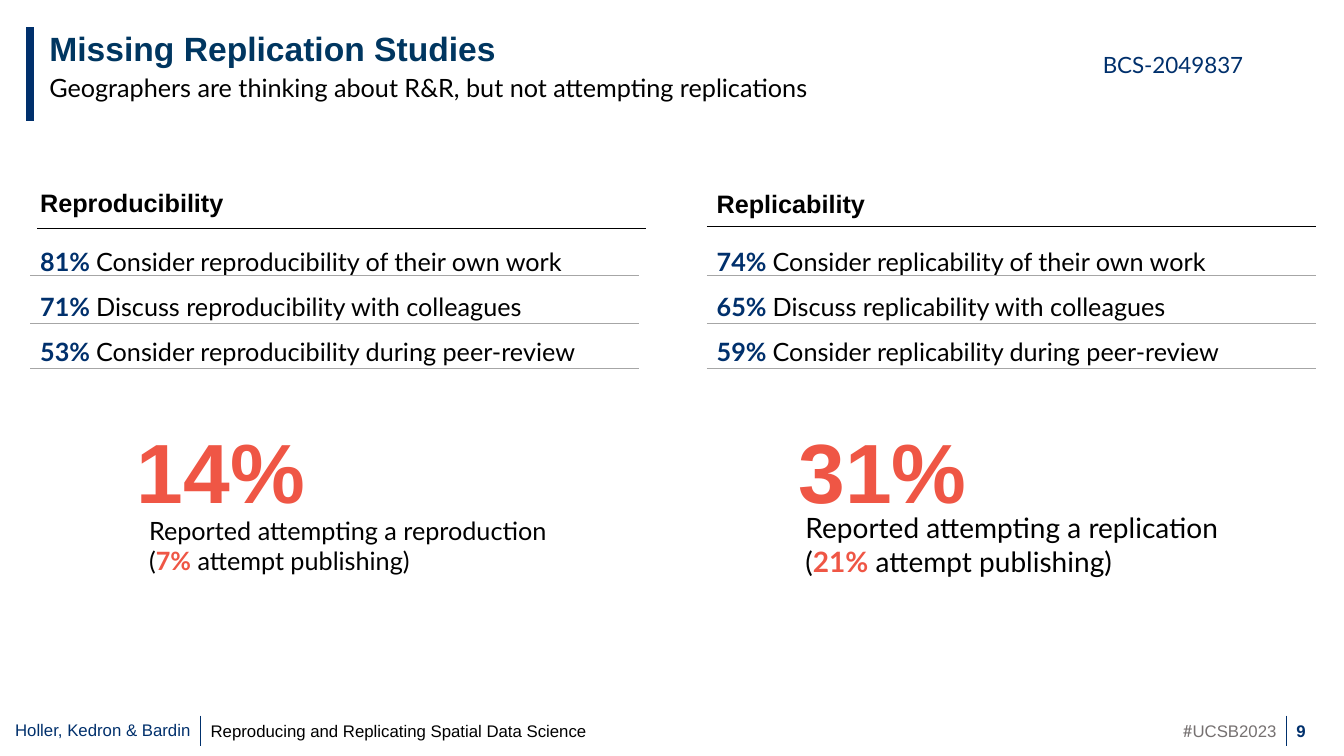
"""Build the slide on missing replication studies in geography."""
from lxml import etree
from pptx import Presentation, util as u
from pptx.dml.color import RGBColor
from pptx.enum import shapes, text
from pptx.oxml.ns import qn

PX = 9144
NAVY, TITLE, RED = "00306C", "003660", "EF5645"
BLACK, GREY, RULE = "000000", "767171", "A6A6A6"
LEFT, RIGHT = text.PP_ALIGN.LEFT, text.PP_ALIGN.RIGHT
TOP, MIDDLE = text.MSO_ANCHOR.TOP, text.MSO_ANCHOR.MIDDLE

deck = Presentation()
deck.slide_width, deck.slide_height = 1333 * PX, 750 * PX
slide = deck.slides.add_slide(deck.slide_layouts[5])


def write(place, lines, size, font="Lato", align=LEFT, anchor=TOP, spacing=1.0, box=None):
    """Fill a box with lines of (words, colour, bold, optional font) runs."""
    box = box or slide.shapes.add_textbox(0, 0, 0, 0)
    box.left, box.top, box.width, box.height = (n * PX for n in place)
    frame = box.text_frame
    frame_format = {"word_wrap": True, "auto_size": text.MSO_AUTO_SIZE.NONE, "vertical_anchor": anchor}
    for key, value in frame_format.items():
        setattr(frame, key, value)
    for number, runs in enumerate(lines):
        para = frame.add_paragraph() if number else frame.paragraphs[0]
        para.alignment, para.line_spacing = align, spacing
        for words, colour, bold, *other_font in runs:
            run = para.add_run()
            run.text = words
            run_format = {"name": other_font[0] if other_font else font, "size": u.Pt(size), "bold": bold}
            for key, value in run_format.items():
                setattr(run.font, key, value)
            run.font.color.rgb = RGBColor.from_string(colour)


def rule(x1, y1, x2, y2, colour, weight):
    """Draw a straight line without a shadow."""
    line = slide.shapes.add_connector(
        shapes.MSO_CONNECTOR.STRAIGHT, x1 * PX, y1 * PX, x2 * PX, y2 * PX)
    line.line.color.rgb = RGBColor.from_string(colour)
    line.line.width = u.Pt(weight)
    etree.SubElement(line._element.spPr, qn("a:effectLst"))


write((39, 23, 846, 50), [[("Missing Replication Studies", TITLE, True)]], 24, "Arial",
      box=slide.shapes.title)
write((39, 67, 1071, 40),
      [[("Geographers are thinking about R&R, but not attempting replications", BLACK, False)]], 18)
write((1071, 46, 172, 37), [[("BCS-2049837", NAVY, False)]], 16, align=RIGHT)
rule(30, 27, 30, 120, NAVY, 6)

topics = [
    dict(noun="reproducibility", left=30, heading_top=181, rule_left=37, rule_top=227,
         shares=("81%", "71%", "53%"), attempted="14%", attempted_left=126,
         act="reproduction", published="7%", note=(138, 506, 448, 71), note_size=18),
    dict(noun="replicability", left=701, heading_top=182, rule_left=701, rule_top=225,
         shares=("74%", "65%", "59%"), attempted="31%", attempted_left=782,
         act="replication", published="21%", note=(789, 502, 478, 77), note_size=20),
]
for topic in topics:
    noun, left = topic["noun"], topic["left"]
    habits = (f"Consider {noun} of their own work",
              f"Discuss {noun} with colleagues",
              f"Consider {noun} during peer-review")
    write((left, topic["heading_top"], 604, 40), [[(noun.capitalize(), BLACK, True)]], 18, "Arial")
    rule(topic["rule_left"], topic["rule_top"], topic["rule_left"] + 604, topic["rule_top"], BLACK, 0.5)
    write((left, 224, 604, 141),
          [[(share + " ", NAVY, True), (habit, BLACK, False)]
           for share, habit in zip(topic["shares"], habits)], 18, spacing=1.5)
    for y in (273, 321, 365):
        rule(left, y, left + 604, y, RULE, 0.5)
    write((topic["attempted_left"], 411, 289, 111), [[(topic["attempted"], RED, True)]], 60, "Arial")
    write(topic["note"],
          [[(f"Reported attempting a {topic['act']}", BLACK, False)],
           [("(", BLACK, False), (topic["published"], RED, True),
            (" attempt publishing)", BLACK, False)]], topic["note_size"])

footer = [
    ((2, 709, 197, 30), [("Holler, Kedron & Bardin", NAVY, False)], RIGHT),
    ((199, 710, 458, 30), [("Reproducing and Replicating Spatial Data Science", BLACK, False)], LEFT),
    ((1114, 710, 162, 30), [("#", GREY, False, "Lato"), ("UCSB2023", GREY, False)], RIGHT),
    ((1276, 710, 55, 30), [("9", NAVY, True)], LEFT),
]
for place, runs, align in footer:
    write(place, [runs], 12, "Arial", align, MIDDLE)
for x in (199, 1276):
    rule(x, 710, x, 740, NAVY, 1)

deck.save("out.pptx")
